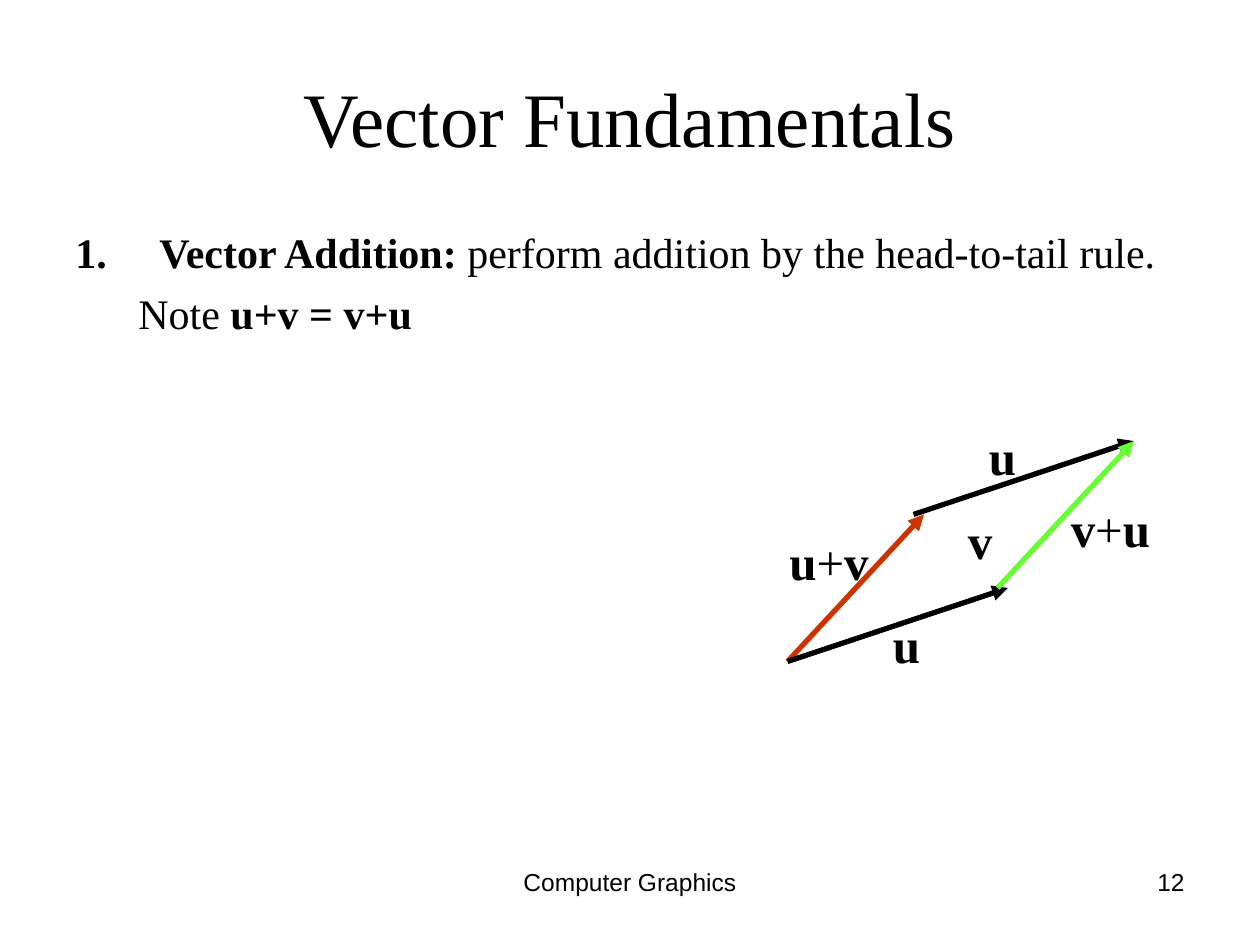
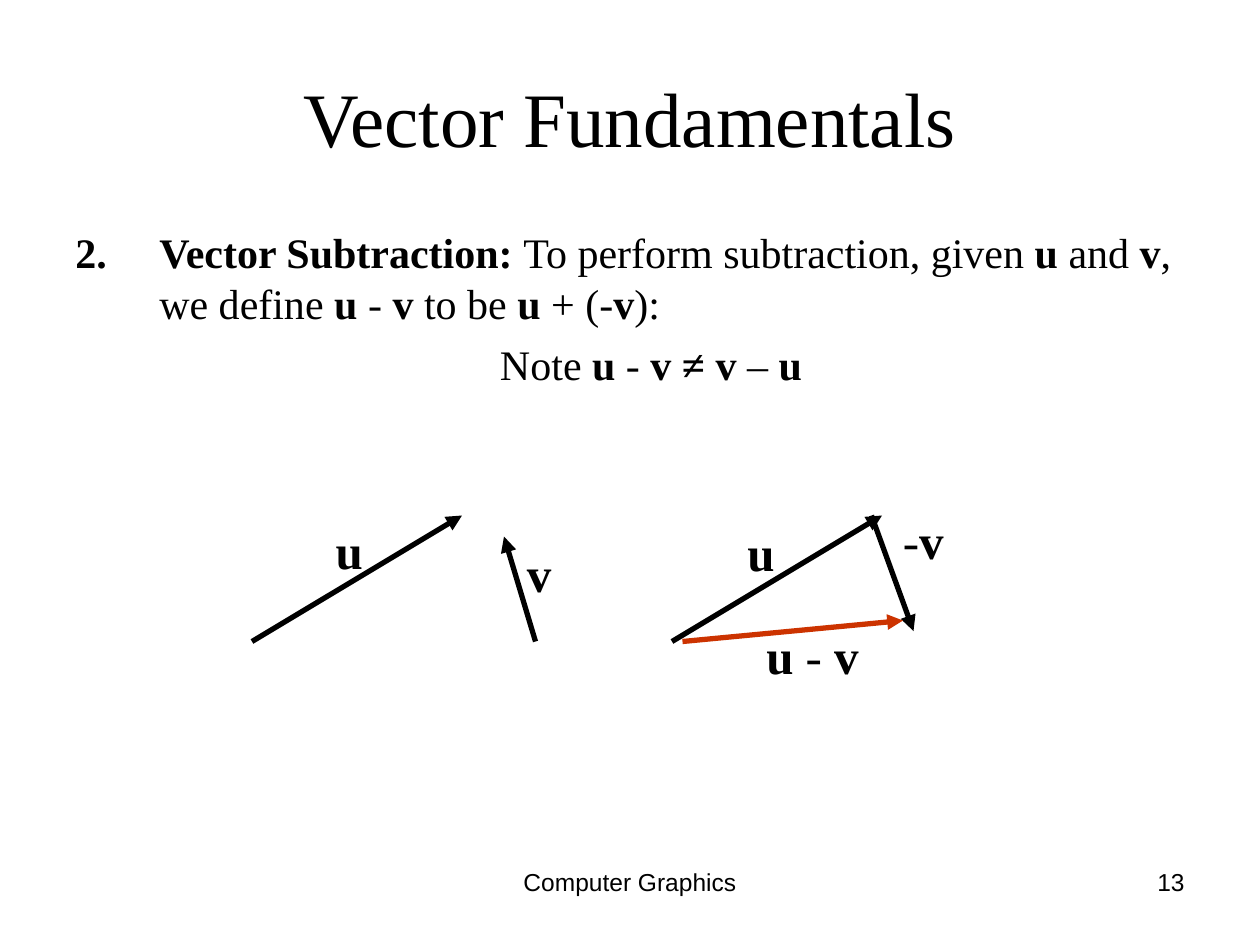
"""Build two slides on vector addition and subtraction."""
import pptx
import pptx.util
import pptx.dml.color
import pptx.enum.shapes
import pptx.enum.text
import pptx.oxml.ns
from lxml import etree

COLORS = {"ink": "000000", "red": "CC3300", "green": "66FF33"}
SERIF, SANS = "Times New Roman", "Arial"
CELL = pptx.util.Inches(1) / 12
COLUMNS, ROWS = 120, 90
LABEL_HEIGHT = 6.8
ALIGN = pptx.enum.text.PP_ALIGN


def cells(count):
    """Convert grid cells to a length."""
    return pptx.util.Emu(round(count * CELL))


def color(name):
    """Look up a named colour."""
    return pptx.dml.color.RGBColor.from_string(COLORS[name])


def add_child(parent, tag, **attributes):
    """Append a DrawingML element."""
    return etree.SubElement(parent, pptx.oxml.ns.qn(tag), attributes)


def add_frame(slide, left, top, width, height):
    """Add an empty wrapping text box and return its frame."""
    frame = slide.shapes.add_textbox(*map(cells, (left, top, width, height))).text_frame
    frame.word_wrap = True
    return frame


def write(paragraph, text, size, font=SERIF, align=ALIGN.LEFT):
    """Fill a paragraph, setting the parts between asterisks in bold."""
    paragraph.alignment = align
    paragraph.font.name = font
    paragraph.font.size = pptx.util.Pt(size)
    paragraph.font.color.rgb = color("ink")
    for index, part in enumerate(text.split("*")):
        if part:
            run = paragraph.add_run()
            run.text = part
            if index % 2:
                run.font.bold = True


def indent(paragraph, left, first=0):
    """Set the left margin and first-line indent in cells."""
    properties = paragraph._p.get_or_add_pPr()
    properties.set("marL", str(cells(left)))
    properties.set("indent", str(cells(first)))
    return properties


def add_body(slide, number, statement, note, note_indent, note_align):
    """Add a numbered statement with a note under it."""
    frame = add_frame(slide, 6, 21, COLUMNS - 12, 59.4)
    numbered = frame.paragraphs[0]
    properties = indent(numbered, 8, -8)
    add_child(properties, "a:buFont", typeface="+mj-lt")
    add_child(properties, "a:buAutoNum", type="arabicPeriod", startAt=str(number))
    write(numbered, statement, 24)
    remark = frame.add_paragraph()
    indent(remark, note_indent)
    remark.space_before = pptx.util.Pt(6)
    write(remark, note, 24, align=note_align)


def add_vector(slide, start, end, name="ink"):
    """Draw an arrow between two grid points."""
    arrow = slide.shapes.add_connector(
        pptx.enum.shapes.MSO_CONNECTOR.STRAIGHT, *map(cells, (*start, *end)))
    arrow.line.color.rgb = color(name)
    arrow.line.width = pptx.util.Pt(3)
    add_child(arrow.line._get_or_add_ln(), "a:tailEnd", type="triangle")
    add_child(arrow._element.spPr, "a:effectLst")


def add_label(slide, text, left, top, width=5):
    """Name a vector beside its arrow."""
    frame = add_frame(slide, left, top, width, LABEL_HEIGHT)
    frame.word_wrap = False
    frame.auto_size = pptx.enum.text.MSO_AUTO_SIZE.SHAPE_TO_FIT_TEXT
    write(frame.paragraphs[0], text, 28)


def add_slide(presentation, page):
    """Add a slide with the shared title and footer."""
    slide = presentation.slides.add_slide(presentation.slide_layouts[6])
    title = add_frame(slide, 6, 3.6, COLUMNS - 12, 15)
    title.vertical_anchor = pptx.enum.text.MSO_ANCHOR.MIDDLE
    write(title.paragraphs[0], "Vector Fundamentals", 44, align=ALIGN.CENTER)
    footer = add_frame(slide, 41, 82, 38, 6.2)
    write(footer.paragraphs[0], "Computer Graphics", 14, SANS, ALIGN.CENTER)
    number = add_frame(slide, 86, 82, 28, 6.2)
    write(number.paragraphs[0], str(page), 14, SANS, ALIGN.RIGHT)
    return slide


def add_diagram(slide, vectors, labels):
    """Draw the arrows and then their names."""
    for vector in vectors:
        add_vector(slide, *vector)
    for label in labels:
        add_label(slide, *label)


def build_addition(presentation):
    """Build the slide on the head-to-tail rule."""
    slide = add_slide(presentation, 12)
    add_body(slide, 1,
             "*Vector Addition: *perform addition by the head-to-tail rule.",
             "Note *u+v = v+u*", 6, ALIGN.LEFT)
    origin, total = (75, 63), (108, 42)
    add_diagram(
        slide,
        [(origin, (88, 49), "red"), (origin, (96, 56)),
         ((87, 49), total), ((95, 56), total, "green")],
        [("*u*", 83.85, 57.9), ("*v*", 91, 48), ("*u*+*v*", 74, 50, 10.1),
         ("*u*", 93, 40), ("*v*+*u*", 100.8, 46.9, 10.1)])


def build_subtraction(presentation):
    """Build the slide on adding the opposite vector."""
    slide = add_slide(presentation, 13)
    add_body(slide, 2,
             "*Vector Subtraction: *To perform subtraction, given* u *and *v*, "
             "we define *u* - *v *to be *u* + (-*v*):",
             "Note* u* - *v ≠ v* – *u*", 4, ALIGN.CENTER)
    base, peak = 61.1, 49.1
    add_diagram(
        slide,
        [((24, base), (44, peak)), ((51, base), (48, 51.1)),
         ((64, base), (84, peak)), ((83, peak), (87, 60.1)),
         ((65, base), (86, 59.1), "red")],
        [("*u*", 30.8, 49), ("*v*", 49, 51.2, 4.8), ("*u*", 70, 49.2),
         ("-*v*", 84.8, 48, 6.8), ("*u *- *v*", 71.8, 59, 11.5)])


def main():
    """Create and save the presentation."""
    presentation = pptx.Presentation()
    presentation.slide_width = cells(COLUMNS)
    presentation.slide_height = cells(ROWS)
    build_addition(presentation)
    build_subtraction(presentation)
    presentation.save("out.pptx")


if __name__ == "__main__":
    main()
